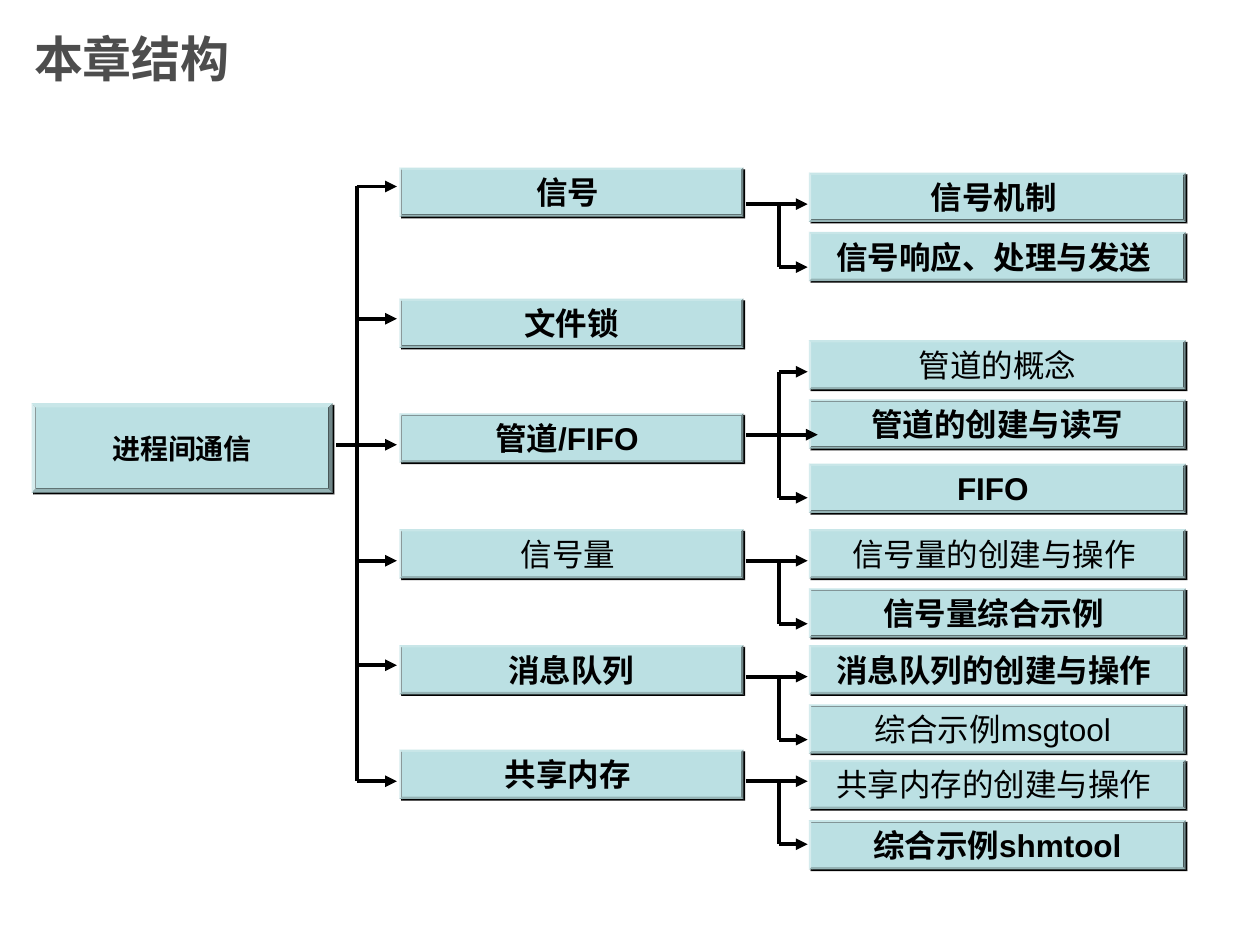
from lxml import etree
from pptx import Presentation
from pptx import util as u
from pptx.dml.color import RGBColor
from pptx.enum import shapes, text
from pptx.oxml.ns import qn

BLACK = RGBColor(0x00, 0x00, 0x00)
GRAY = RGBColor(0x4D, 0x4D, 0x4D)
TEAL = RGBColor(0xBB, 0xE0, 0xE3)

# Content: trailing spaces belong to the centred labels
TITLE = "本章结构"
ROOT = "进程间通信"
# Each topic: label, bold, box top, arrow height, fork arrow heights, subtopics
# Each subtopic: label, bold, box top
TOPICS = [
    ("信号 ", True, 1.33, 1.48, (1.62, 2.12),
     [("信号机制 ", True, 1.37), ("信号响应、处理与发送 ", True, 1.84)]),
    ("文件锁", True, 2.37, 2.53, (), []),
    ("管道/FIFO ", True, 3.28, 3.53, (2.95, 3.45, 3.95),
     [("管道的概念", False, 2.70), ("管道的创建与读写", True, 3.17),
      ("FIFO ", True, 3.68)]),
    ("信号量 ", False, 4.20, 4.45, (4.45, 4.95),
     [("信号量的创建与操作 ", False, 4.20), ("信号量综合示例 ", True, 4.67)]),
    ("消息队列", True, 5.12, 5.28, (5.37, 5.87),
     [("消息队列的创建与操作 ", True, 5.12), ("综合示例msgtool ", False, 5.59)]),
    ("共享内存 ", True, 5.95, 6.20, (6.20, 6.70),
     [("共享内存的创建与操作 ", False, 6.03), ("综合示例shmtool", True, 6.51)]),
]

# Columns (left, width) and connector positions, in inches
ROOT_BOX = (0.25, 3.20, 2.39, 0.71)
TOPIC_COLUMN = (3.17, 2.73)
SUBTOPIC_COLUMN = (6.42, 2.99)
BOX_HEIGHT = 0.39
ROOT_EXIT, TRUNK, TOPIC_ENTRY = 2.67, 2.83, 3.15
TOPIC_EXIT, FORK, SUBTOPIC_ENTRY = 5.92, 6.18, 6.41


def write(frame, content, size=18, bold=True, font="Arial", color=BLACK,
          align=text.PP_ALIGN.CENTER, before=0):
    frame.vertical_anchor = text.MSO_ANCHOR.MIDDLE
    paragraph = frame.paragraphs[0]
    paragraph.alignment = align
    paragraph.space_before = u.Pt(before)
    run = paragraph.add_run()
    run.text = content
    run.font.size = u.Pt(size)
    run.font.bold = bold
    run.font.name = font
    run.font.color.rgb = color


def add_box(slide, content, left, top, width, height, **format):
    shape = slide.shapes.add_shape(
        shapes.MSO_SHAPE.BEVEL, *map(u.Inches, (left, top, width, height)))
    shape.adjustments[0] = 0.047
    shape.fill.solid()
    shape.fill.fore_color.rgb = TEAL
    shape.line.fill.background()
    # Hard black shadow, down and to the right
    shape.shadow.inherit = False
    effects = shape.element.spPr.find(qn("a:effectLst"))
    shadow = etree.SubElement(effects, qn("a:outerShdw"), blurRad="0",
                              dist=str(u.Pt(1.4)), dir="2700000",
                              algn="ctr", rotWithShape="0")
    etree.SubElement(shadow, qn("a:srgbClr"), val=str(BLACK))
    shape.text_frame.word_wrap = False
    write(shape.text_frame, content, **format)


def add_line(slide, start, end, arrow=False):
    connector = slide.shapes.add_connector(
        shapes.MSO_CONNECTOR.STRAIGHT, *map(u.Inches, start + end))
    connector.line.color.rgb = BLACK
    connector.line.width = u.Pt(2.25)
    properties = connector.element.spPr
    if arrow:
        etree.SubElement(properties.find(qn("a:ln")), qn("a:tailEnd"),
                         type="triangle")
    etree.SubElement(properties, qn("a:effectLst"))


def add_fork(slide, heights):
    # With three arrows the middle one leaves the topic, otherwise the first
    stem = heights[(len(heights) - 1) // 2]
    for height in heights:
        start = TOPIC_EXIT if height == stem else FORK
        # The stem of the three-way fork reaches into its box
        reach = 0.08 if height == stem and len(heights) == 3 else 0
        add_line(slide, (start, height), (SUBTOPIC_ENTRY + reach, height), True)
    add_line(slide, (FORK, heights[0]), (FORK, heights[-1]))


def main():
    presentation = Presentation()
    presentation.slide_width = u.Inches(10)
    presentation.slide_height = u.Inches(7.5)
    slide = presentation.slides.add_slide(presentation.slide_layouts[5])

    # Title
    title = slide.shapes.title
    title.left, title.top, title.width, title.height = map(
        u.Inches, (0.17, 0, 7.5, 0.92))
    write(title.text_frame, TITLE, size=28, color=GRAY,
          align=text.PP_ALIGN.LEFT)

    # Boxes
    add_box(slide, ROOT, *ROOT_BOX, size=16, font="Arial Narrow", before=10)
    for label, bold, top, _, _, subtopics in TOPICS:
        column_boxes = [(TOPIC_COLUMN, label, bold, top)]
        column_boxes += [(SUBTOPIC_COLUMN, *subtopic) for subtopic in subtopics]
        for (left, width), content, weight, box_top in column_boxes:
            add_box(slide, content, left, box_top, width, BOX_HEIGHT,
                    bold=weight, before=11.2)

    # Trunk, topic arrows and forks
    arrow_heights = [topic[3] for topic in TOPICS]
    add_line(slide, (TRUNK, arrow_heights[0]), (TRUNK, arrow_heights[-1]))
    for _, _, _, height, fork_heights, subtopics in TOPICS:
        start = ROOT_EXIT if height == 3.53 else TRUNK
        add_line(slide, (start, height), (TOPIC_ENTRY, height), True)
        if subtopics:
            add_fork(slide, fork_heights)

    presentation.save("out.pptx")


if __name__ == "__main__":
    main()
